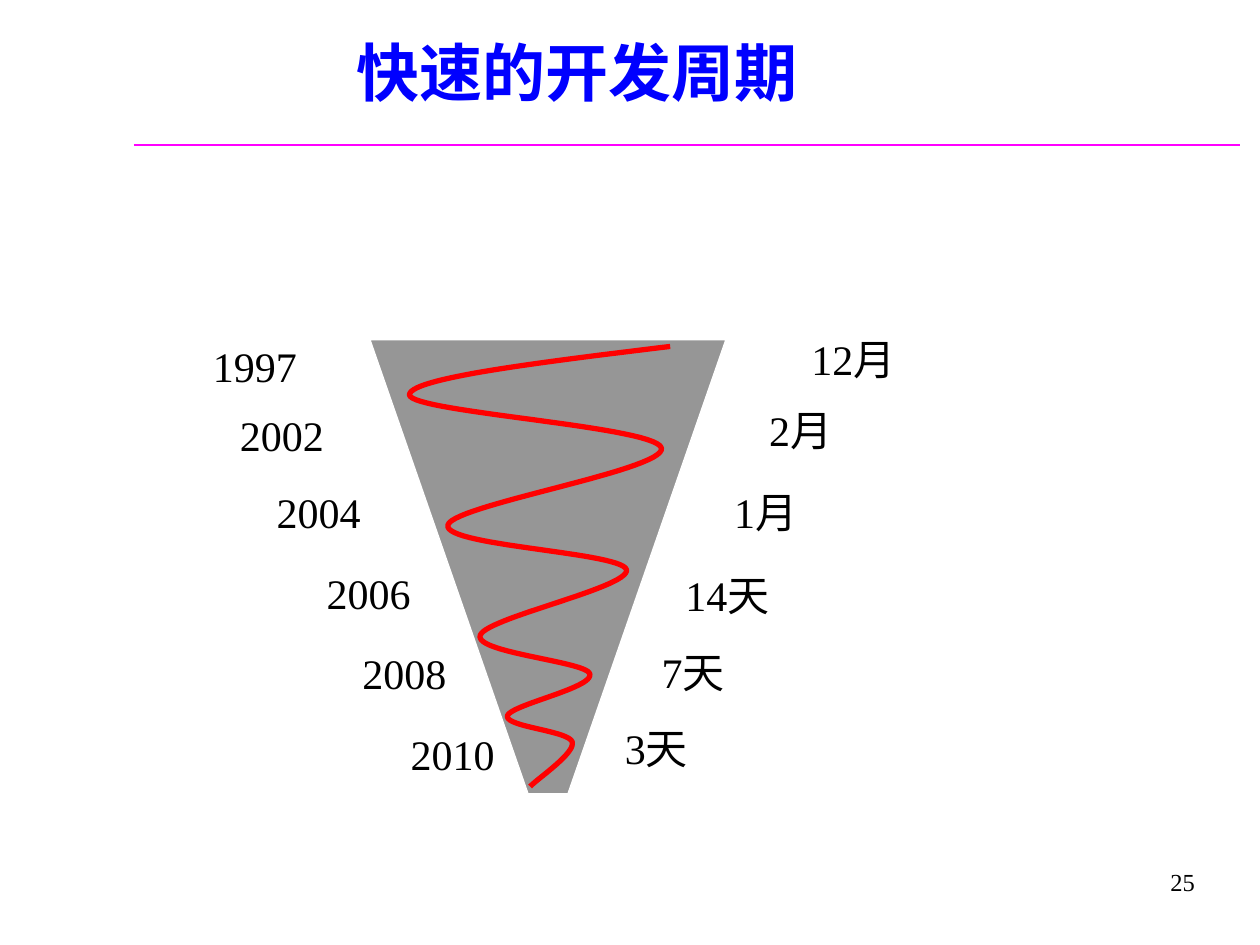
from lxml.etree import SubElement
from pptx import Presentation
from pptx.dml.color import RGBColor
from pptx.enum.shapes import MSO_CONNECTOR
from pptx.enum.text import MSO_ANCHOR, PP_ALIGN
from pptx.oxml.ns import qn
from pptx.util import Pt

LATIN, CJK = "Times New Roman", "Noto Sans CJK SC"
LABEL_HEIGHT = 36
YEARS = [("1997", 114.5, 191), ("2002", 130, 230.5), ("2004", 151, 274.5),
         ("2006", 179.5, 320.5), ("2008", 200, 366.5), ("2010", 227.5, 412.5)]
CYCLES = [("12月", 456.5, 187), ("2月", 432.5, 227.5), ("1月", 412.5, 274.5),
          ("14天", 384.5, 322), ("7天", 371, 366), ("3天", 350, 409.5)]
FUNNEL = [(211.5, 194.2), (301.8, 453.6), (324.6, 453.6), (414.8, 194.2)]
SPIRAL_START = (383, 198)
SPIRAL_BENDS = [
    ((309, 207), (235, 216), (234, 225.5)),
    ((233, 235.5), (374.5, 243.5), (378, 256)),
    ((381.5, 268.5), (259, 288.5), (256, 300)),
    ((252.5, 312), (355, 315.5), (358, 325.5)),
    ((361, 335.5), (278, 353), (274.5, 363)),
    ((270.5, 373), (335, 378), (337, 385)),
    ((340, 393), (292.5, 402.5), (290, 409)),
    ((288.5, 415.5), (325, 417.5), (327, 424)),
    ((329, 430.5), (307, 445), (303, 449.5)),
]


def color(value):
    return RGBColor.from_string(value)


def add_text(slide, text, left, top, width, height, size, ink="000000",
             latin=LATIN, bold=False, align=PP_ALIGN.LEFT,
             anchor=MSO_ANCHOR.TOP, wrap=True):
    frame = slide.shapes.add_textbox(
        Pt(left), Pt(top), Pt(width), Pt(height)).text_frame
    frame.word_wrap = wrap
    frame.vertical_anchor = anchor
    paragraph = frame.paragraphs[0]
    paragraph.text = text
    paragraph.alignment = align
    font = paragraph.font
    font.size, font.bold, font.name = Pt(size), bold, latin
    font.color.rgb = color(ink)
    defaults = paragraph._p.pPr.find(qn("a:defRPr"))
    SubElement(defaults, qn("a:ea")).set("typeface", CJK)


def add_labels(slide, labels):
    for text, left, top in labels:
        width = 15 + sum(12 if char.isdigit() else 29 for char in text)
        add_text(slide, text, left, top, width, LABEL_HEIGHT, 24, wrap=False)


def add_rule(slide, left, right, y, ink, weight):
    rule = slide.shapes.add_connector(
        MSO_CONNECTOR.STRAIGHT, Pt(left), Pt(y), Pt(right), Pt(y))
    rule.line.color.rgb = color(ink)
    rule.line.width = Pt(weight)
    SubElement(rule._element.spPr, qn("a:effectLst"))


def bezier_points(start, bends, steps=30):
    """Return the points along a chain of cubic Bezier curves."""
    points = [start]
    for bend in bends:
        corners = (points[-1], *bend)
        for step in range(1, steps + 1):
            t = step / steps
            weights = ((1 - t) ** 3, 3 * t * (1 - t) ** 2,
                       3 * t ** 2 * (1 - t), t ** 3)
            points.append(tuple(
                sum(w * corner[axis] for w, corner in zip(weights, corners))
                for axis in (0, 1)))
    return points


def add_outline(slide, points, ink, weight, fill=None):
    start, *rest = [(Pt(x), Pt(y)) for x, y in points]
    builder = slide.shapes.build_freeform(*start)
    builder.add_line_segments(rest, close=fill is not None)
    outline = builder.convert_to_shape()
    outline.shadow.inherit = False
    if fill:
        outline.fill.solid()
        outline.fill.fore_color.rgb = color(fill)
    else:
        outline.fill.background()
    outline.line.color.rgb = color(ink)
    outline.line.width = Pt(weight)


def main():
    deck = Presentation()
    deck.slide_width, deck.slide_height = Pt(720), Pt(540)
    slide = deck.slides.add_slide(deck.slide_layouts[6])
    add_rule(slide, 76.5, 708.5, 82.8, "FF00FF", 1.5)
    add_text(slide, "25", 540, 486, 149.8, 36, 14,
             align=PP_ALIGN.RIGHT, anchor=MSO_ANCHOR.MIDDLE)
    add_text(slide, "快速的开发周期", 36, 18, 587, 48, 36, ink="0000FF",
             latin=CJK, bold=True, align=PP_ALIGN.CENTER,
             anchor=MSO_ANCHOR.BOTTOM)
    add_outline(slide, FUNNEL, "FFFFFF", 0.75, fill="969696")
    add_outline(slide, bezier_points(SPIRAL_START, SPIRAL_BENDS), "FF0000", 3)
    add_labels(slide, YEARS)
    add_labels(slide, CYCLES)
    deck.save("out.pptx")


if __name__ == "__main__":
    main()
